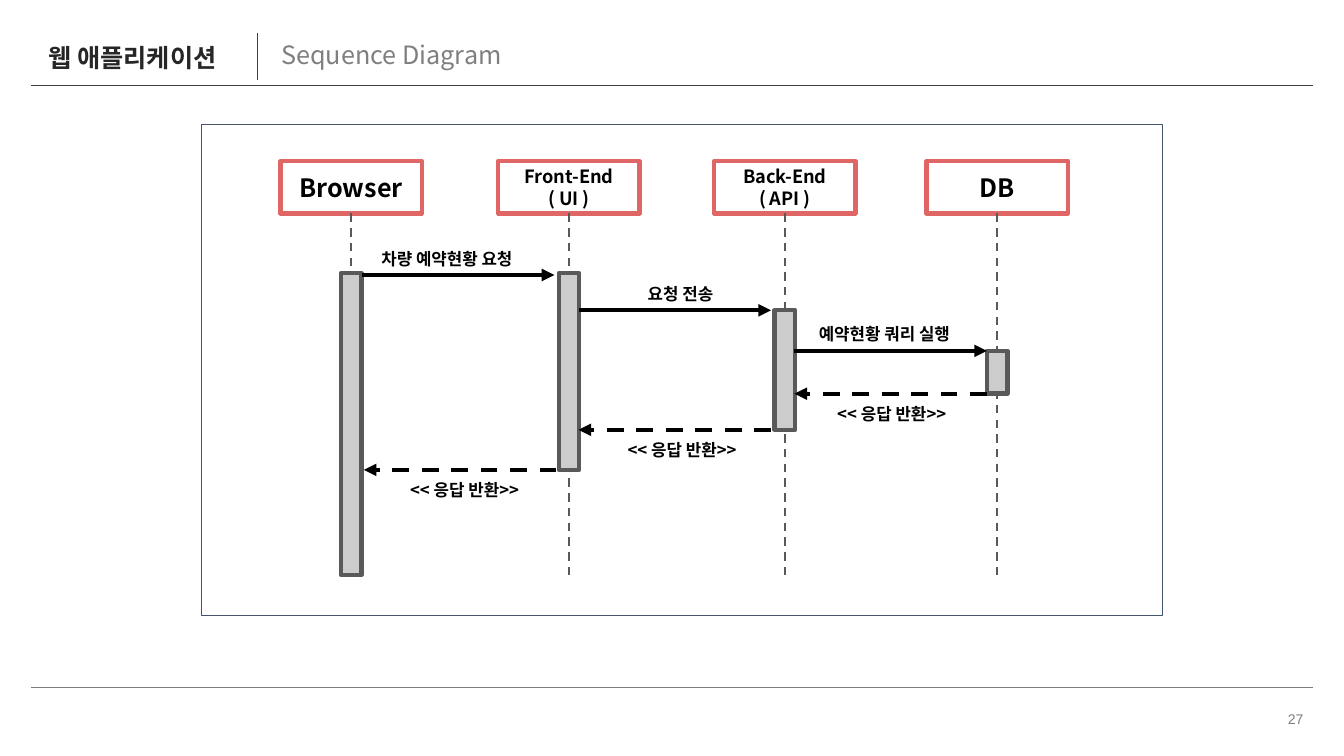
"""Build the sequence diagram slide of the web application."""
from dataclasses import dataclass

from lxml import etree
from pptx import Presentation
from pptx.dml.color import RGBColor
from pptx.enum.dml import MSO_LINE
from pptx.enum.shapes import MSO_CONNECTOR, MSO_SHAPE
from pptx.enum.text import MSO_ANCHOR, MSO_AUTO_SIZE, PP_ALIGN
from pptx.oxml.ns import qn
from pptx.util import Cm, Pt

RECTANGLE = MSO_SHAPE.RECTANGLE
STRAIGHT = MSO_CONNECTOR.STRAIGHT
DASH = MSO_LINE.DASH
TOP, MIDDLE = MSO_ANCHOR.TOP, MSO_ANCHOR.MIDDLE
LEFT, CENTER, RIGHT = PP_ALIGN.LEFT, PP_ALIGN.CENTER, PP_ALIGN.RIGHT
NO_AUTOFIT = MSO_AUTO_SIZE.NONE
BOTTOM_SIDE = 2
TITLE_ONLY = 5

WHITE = RGBColor(0xFF, 0xFF, 0xFF)
BLACK = RGBColor(0, 0, 0)
TITLE_INK = RGBColor(0x26, 0x26, 0x26)
RULE_DARK = RGBColor(0x3F, 0x3F, 0x3F)
MUTED = RGBColor(0x7F, 0x7F, 0x7F)
FRAME_BLUE = RGBColor(0x44, 0x54, 0x6A)
HEAD_RED = RGBColor(0xE0, 0x66, 0x66)
BAR_FILL = RGBColor(0xCC, 0xCC, 0xCC)
BAR_EDGE = RGBColor(0x59, 0x59, 0x59)

NOTO = "Noto Sans CJK KR"
ARIAL = "Arial"

HEAD_TOP, HEAD_WIDTH, HEAD_HEIGHT = 4.06, 3.56, 1.32
LIFELINE_END = 14.5
BAR_WIDTH = 0.52
MESSAGE_LENGTH = 4.85
LABEL_HEIGHT, LABEL_RISE = 0.56, 0.92


@dataclass(frozen=True)
class Participant:
    """A lifeline with its head and activation bar."""
    name: str
    size: int
    center: float
    bar_top: float
    bar_height: float


@dataclass(frozen=True)
class Message:
    """A call to the right, or a reply to the left with its label below."""
    text: str
    left: float
    y: float
    label_left: float
    label_width: float
    is_reply: bool = False
    align: PP_ALIGN = CENTER


REPLY = "<< 응답 반환>>"
PARTICIPANTS = (
    Participant("Browser", 18, 8.85, 6.88, 7.61),
    Participant("Front-End\n( UI )", 13, 14.34, 6.88, 4.96),
    Participant("Back-End\n( API )", 13, 19.78, 7.82, 3.01),
    Participant("DB", 18, 25.13, 8.84, 1.08),
)
MESSAGES = (
    Message("차량 예약현황 요청", 9.12, 6.93, 8.84, 4.85),
    Message("요청 전송", 14.58, 7.82, 15.37, 3.56),
    Message("예약현황 쿼리 실행", 20.02, 8.84, 20.04, 4.5),
    Message(REPLY, 20.02, 9.92, 20.85, 4.06, True, LEFT),
    Message(REPLY, 14.58, 10.83, 15.16, 4.06, True),
    Message(REPLY, 9.17, 11.84, 9.68, 4.06, True),
)


def write_text(shape, text: str, *, size: float, color: RGBColor = BLACK, font: str = NOTO,
               bold: bool = False, align: PP_ALIGN = CENTER, anchor: MSO_ANCHOR = MIDDLE,
               spacing: float = 1, inset_x: float = 0.25, inset_y: float = 0.25) -> None:
    """Fill a shape with formatted text, one paragraph a line."""
    frame = shape.text_frame
    frame.text = text
    frame.word_wrap = True
    frame.auto_size = NO_AUTOFIT
    frame.vertical_anchor = anchor
    frame.margin_left, frame.margin_right = Cm(inset_x), Cm(0.25)
    frame.margin_top = frame.margin_bottom = Cm(inset_y)
    for paragraph in frame.paragraphs:
        paragraph.alignment = align
        paragraph.line_spacing = spacing
        for run in paragraph.runs:
            run.font.name, run.font.size, run.font.bold = font, Pt(size), bold
            run.font.color.rgb = color
            etree.SubElement(run.font._element, qn("a:ea"), typeface=NOTO)


def add_label(shapes, left: float, top: float, width: float, height: float, text: str,
              **text_format) -> None:
    """Add a text box with formatted text."""
    label = shapes.add_textbox(Cm(left), Cm(top), Cm(width), Cm(height))
    write_text(label, text, **text_format)


def add_box(shapes, left: float, top: float, width: float, height: float,
            fill: RGBColor, edge: RGBColor, weight: float):
    """Add a flat rectangle and return it."""
    box = shapes.add_shape(RECTANGLE, Cm(left), Cm(top), Cm(width), Cm(height))
    box.shadow.inherit = False
    box.fill.solid()
    box.fill.fore_color.rgb = fill
    box.line.color.rgb = edge
    box.line.width = Pt(weight)
    return box


def add_line(shapes, x1: float, y1: float, x2: float, y2: float, color: RGBColor,
             weight: float, dashed: bool = False, arrow: bool = False):
    """Add a straight line and return it."""
    line = shapes.add_connector(STRAIGHT, Cm(x1), Cm(y1), Cm(x2), Cm(y2))
    line.line.color.rgb = color
    line.line.width = Pt(weight)
    if dashed:
        line.line.dash_style = DASH
    if arrow:
        etree.SubElement(line.line._get_or_add_ln(), qn("a:tailEnd"), type="triangle")
    etree.SubElement(line._element.spPr, qn("a:effectLst"))
    return line


def draw_participant(shapes, participant: Participant) -> None:
    """Draw the head, lifeline and activation bar of a participant."""
    center = participant.center
    head = add_box(shapes, center - HEAD_WIDTH / 2, HEAD_TOP, HEAD_WIDTH, HEAD_HEIGHT,
                   WHITE, HEAD_RED, 3)
    write_text(head, participant.name, size=participant.size, bold=True)
    lifeline = add_line(shapes, center, HEAD_TOP + HEAD_HEIGHT, center, LIFELINE_END,
                        BAR_EDGE, 1.5, dashed=True)
    lifeline.begin_connect(head, BOTTOM_SIDE)
    add_box(shapes, center - BAR_WIDTH / 2, participant.bar_top, BAR_WIDTH,
            participant.bar_height, BAR_FILL, BAR_EDGE, 3)


def draw_message(shapes, message: Message) -> None:
    """Draw the arrow and label of a message."""
    start, end = message.left, message.left + MESSAGE_LENGTH
    label_top = message.y - LABEL_RISE
    if message.is_reply:
        start, end = end, start
        label_top = message.y
    add_line(shapes, start, message.y, end, message.y, BLACK, 3,
             dashed=message.is_reply, arrow=True)
    add_label(shapes, message.label_left, label_top, message.label_width, LABEL_HEIGHT,
              message.text, size=12, bold=True, align=message.align, anchor=TOP)


def draw_page(slide) -> None:
    """Draw the heading, the rules and the page number."""
    shapes = slide.shapes
    title = shapes.title
    title.left, title.top, title.width, title.height = Cm(1.22), Cm(0.91), Cm(5.77), Cm(1.19)
    write_text(title, "웹 애플리케이션", size=18, color=TITLE_INK, font=ARIAL, bold=True,
               align=LEFT, spacing=0.9, inset_x=0, inset_y=0.13)
    add_label(shapes, 7.09, 0.98, 18.59, 0.89, "Sequence Diagram", size=18, color=MUTED,
              align=LEFT, spacing=0.9, inset_x=0, inset_y=0.13)
    add_line(shapes, 6.48, 0.84, 6.48, 2.02, RULE_DARK, 0.75)
    add_line(shapes, 0.79, 2.16, 33.1, 2.16, RULE_DARK, 0.75)
    add_line(shapes, 0.79, 17.32, 33.1, 17.32, MUTED, 0.75)
    add_label(shapes, 31.93, 17.6, 1.17, 1.02, "27", size=10, color=MUTED, font=ARIAL,
              align=RIGHT, inset_y=0.13)


def main() -> None:
    """Build and save the slide."""
    deck = Presentation()
    deck.slide_width, deck.slide_height = Cm(33.87), Cm(19.05)
    slide = deck.slides.add_slide(deck.slide_layouts[TITLE_ONLY])
    draw_page(slide)
    add_box(slide.shapes, 5.08, 3.15, 24.21, 12.37, WHITE, FRAME_BLUE, 0.75)
    for participant in PARTICIPANTS:
        draw_participant(slide.shapes, participant)
    for message in MESSAGES:
        draw_message(slide.shapes, message)
    deck.save("out.pptx")


if __name__ == "__main__":
    main()
